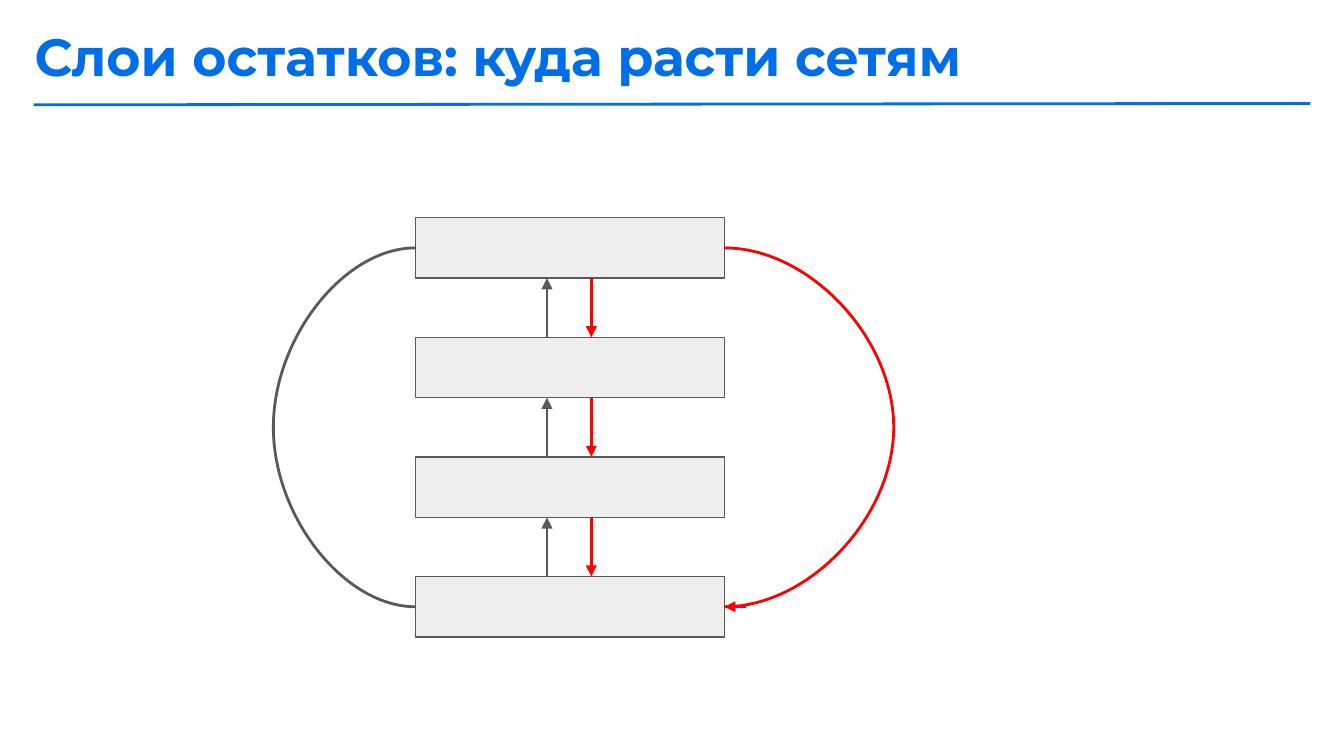
from lxml import etree
from pptx import Presentation
from pptx.dml.color import RGBColor
from pptx.enum import shapes, text
from pptx.oxml import ns
from pptx.util import Emu, Inches, Pt

BLUE, GREY, RED, PALE = "006EE8", "595959", "FF0000", "EEEEEE"

LAYERS = 4
LEFT, TOP, WIDTH, HEIGHT = 3.09, 1.62, 2.3, 0.45
PITCH = 0.89
CURVE_WIDTH = Emu(600)  # nearly flat, so the bulge comes from the adjustment


def color(value):
    return RGBColor.from_string(value)


def add_line(s, start, end, line_color, arrow=False,
             kind=shapes.MSO_CONNECTOR.STRAIGHT):
    sp = s.shapes.add_connector(kind, *map(Inches, start + end))
    sp.line.color.rgb = color(line_color)
    sp.line.width = Pt(1.5)
    if arrow:
        etree.SubElement(sp.line._get_or_add_ln(), ns.qn("a:tailEnd"),
                         type="triangle")
    etree.SubElement(sp._element.spPr, ns.qn("a:effectLst"))
    return sp


def add_skip_curve(s, x, top, bottom, bulge, line_color):
    """Curve between two layers, bulging sideways by the given inches."""
    sp = add_line(s, (x, top), (x, bottom), line_color,
                  kind=shapes.MSO_CONNECTOR.CURVE)
    sp.width = CURVE_WIDTH
    geom = sp._element.spPr.find(ns.qn("a:prstGeom"))
    guides = geom.find(ns.qn("a:avLst"))
    if guides is None:
        guides = etree.SubElement(geom, ns.qn("a:avLst"))
    ratio = round(Inches(bulge) / CURVE_WIDTH * 100000)
    etree.SubElement(guides, ns.qn("a:gd"), name="adj1", fmla=f"val {ratio}")


def add_layer(s, top):
    sp = s.shapes.add_shape(shapes.MSO_SHAPE.RECTANGLE, Inches(LEFT),
                            Inches(top), Inches(WIDTH), Inches(HEIGHT))
    sp.shadow.inherit = False
    sp.fill.solid()
    sp.fill.fore_color.rgb = color(PALE)
    sp.line.color.rgb = color(GREY)
    sp.line.width = Pt(0.75)


def add_title(s, title):
    sp = s.shapes.add_textbox(Inches(0.16), Inches(0.08),
                              Inches(7.51), Inches(0.7))
    tf = sp.text_frame
    tf.word_wrap = True
    tf.vertical_anchor = text.MSO_ANCHOR.TOP
    tf.margin_left = tf.margin_right = Inches(0.1)
    tf.margin_top = tf.margin_bottom = Inches(0.1)
    tf.text = title
    font = tf.paragraphs[0].runs[0].font
    font.name, font.size, font.bold = "Montserrat", Pt(28), True
    font.color.rgb = color(BLUE)


def main():
    prs = Presentation()
    prs.slide_width = Inches(10)
    prs.slide_height = Inches(10 * 9 / 16)
    s = prs.slides.add_slide(prs.slide_layouts[6])

    # Layers with forward and backward arrows between neighbours
    for i in range(LAYERS):
        top = TOP + i * PITCH
        add_layer(s, top)
        if i < LAYERS - 1:
            upper, lower = top + HEIGHT, top + PITCH
            add_line(s, (4.07, lower), (4.07, upper), GREY, arrow=True)
            add_line(s, (4.4, upper), (4.4, lower), RED, arrow=True)

    # Skip connections around the stack
    first = TOP + HEIGHT / 2
    last = first + (LAYERS - 1) * PITCH
    right = LEFT + WIDTH
    add_skip_curve(s, right, first, last, 1.05, RED)
    add_line(s, (right + 0.16, last), (right, last), RED, arrow=True)
    add_skip_curve(s, LEFT, first, last, -0.88, GREY)

    # Title and rule
    add_title(s, "Слои остатков: куда расти сетям")
    add_line(s, (0.25, 0.78), (9.75, 0.77), BLUE)

    prs.save("out.pptx")


if __name__ == "__main__":
    main()
